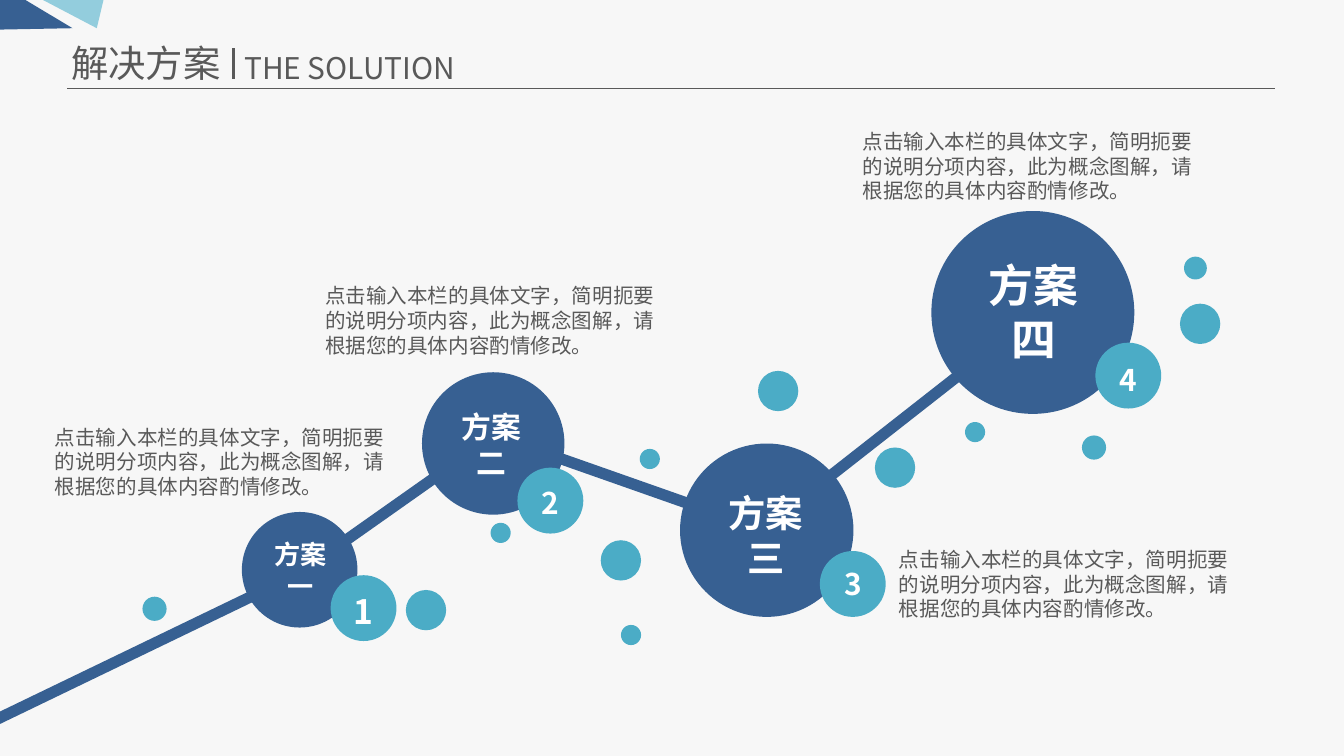
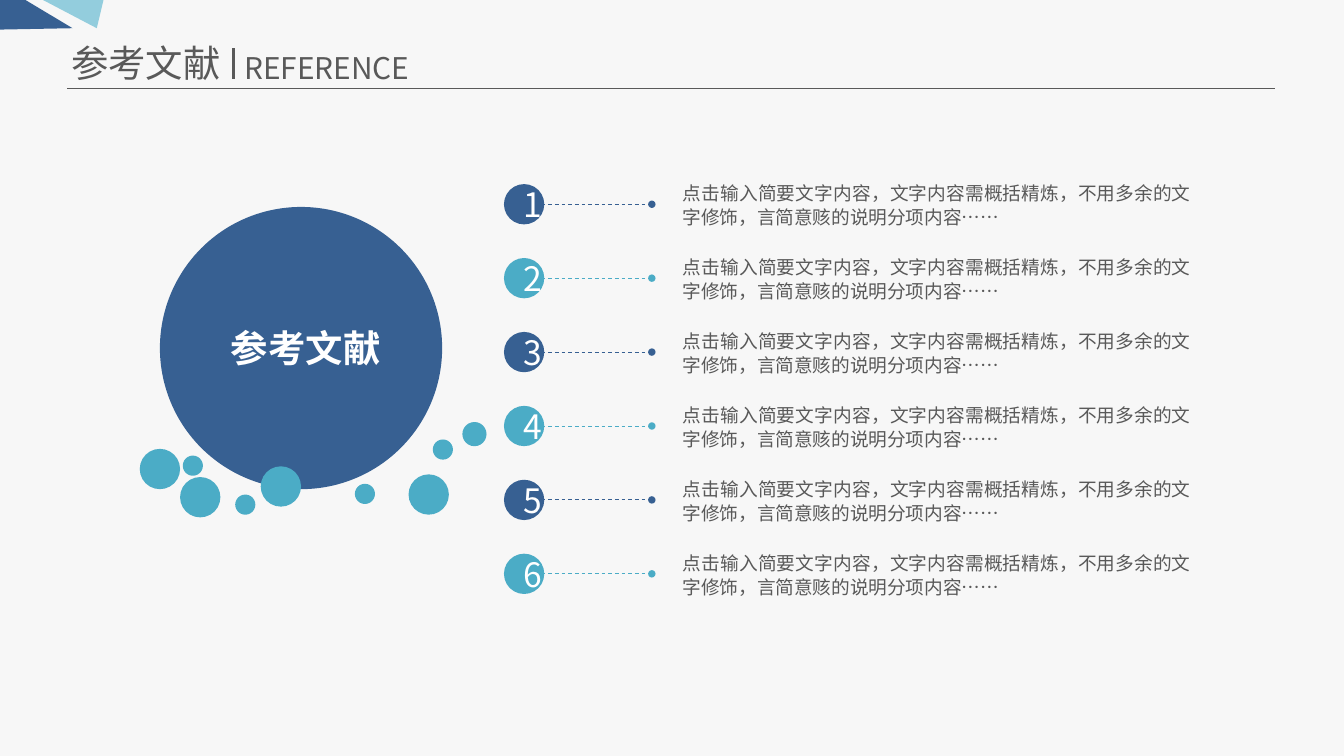
from dataclasses import dataclass

from pptx import Presentation
from pptx import util as u
from pptx.dml.color import RGBColor
from pptx.enum import dml, shapes, text
from pptx.oxml.ns import qn
from lxml import etree

FONT = "Noto Sans CJK SC"
NAVY, TEAL, SKY = "376092", "4BACC6", "93CDDD"
GRAY, WHITE, PAPER = "595959", "FFFFFF", "F7F7F7"
LEFT, CENTER, JUSTIFY = text.PP_ALIGN.LEFT, text.PP_ALIGN.CENTER, text.PP_ALIGN.JUSTIFY
PLAN_TEXT = "点击输入本栏的具体文字，简明扼要的说明分项内容，此为概念图解，请根据您的具体内容酌情修改。"
REFERENCE_TEXT = "点击输入简要文字内容，文字内容需概括精炼，不用多余的文字修饰，言简意赅的说明分项内容……"

Box = tuple[float, float, float, float]
Point = tuple[float, float]


@dataclass
class Plan:
    label: str
    size: int
    circle: Box
    label_box: Box
    note_at: Point


@dataclass
class Badge:
    number: str
    at: Point
    text_top: float
    size: int = 16


@dataclass
class Dot:
    left: float
    top: float
    size: float = 0.15


PLANS = [
    Plan("方案\n一", 14, (1.8, 3.81, 0.86, 0.86), (1.83, 3.96, 0.81, 0.57), (0.31, 3.11)),
    Plan("方案\n二", 16, (3.14, 2.77, 1.06, 1.06), (3.33, 2.99, 0.65, 0.64), (2.32, 2.06)),
    Plan("方案\n三", 20, (5.06, 3.3, 1.29, 1.29), (5.32, 3.6, 0.76, 0.77), (6.59, 4.02)),
    Plan("方案\n四", 24, (6.93, 1.57, 1.51, 1.51), (7.25, 1.87, 0.88, 0.91), (6.32, 0.91)),
]
BADGES = [
    Badge("1", (2.46, 4.28), 4.4, 18),
    Badge("2", (3.85, 3.48), 3.61),
    Badge("3", (6.1, 4.1), 4.21),
    Badge("4", (8.15, 2.55), 2.69),
]
PATH_POINTS = [(-0.04, 5.36), (2.22, 4.27), (3.68, 3.24), (5.67, 3.94), (7.66, 2.38)]
PLAN_DOTS = [
    Dot(4.76, 3.34), Dot(4.47, 4.02, 0.3), Dot(4.62, 4.65), Dot(3.02, 4.39, 0.3),
    Dot(3.65, 3.89), Dot(6.51, 3.33, 0.3), Dot(8.05, 3.24, 0.18), Dot(7.18, 3.14),
    Dot(5.64, 2.76, 0.3), Dot(8.78, 2.26, 0.3), Dot(8.81, 1.91, 0.17), Dot(1.06, 4.44, 0.18),
]
REFERENCE_DOTS = [
    Dot(1.34, 3.55, 0.3), Dot(1.75, 3.68), Dot(1.94, 3.47, 0.3), Dot(2.64, 3.6),
    Dot(1.04, 3.34, 0.3), Dot(1.36, 3.39), Dot(3.04, 3.53, 0.3),
    Dot(3.44, 3.14, 0.18), Dot(3.22, 3.27),
]


def color(value: str) -> RGBColor:
    return RGBColor.from_string(value)


def inches(values) -> list:
    return [u.Inches(v) for v in values]


def paint(sp, fill: str) -> None:
    sp.shadow.inherit = False
    sp.fill.solid()
    sp.fill.fore_color.rgb = color(fill)
    sp.line.fill.background()


def write(tf, content: str, size: int, ink: str = GRAY, bold: bool = False, align=LEFT) -> None:
    tf.text = content
    for p in tf.paragraphs:
        p.alignment = align
        for r in p.runs:
            r.font.name = FONT
            r.font.size = u.Pt(size)
            r.font.bold = bold
            r.font.color.rgb = color(ink)
            etree.SubElement(r.font._element, qn("a:ea"), typeface=FONT)


def add_text(s, box: Box, content: str, size: int, ink: str = GRAY, bold: bool = False,
             align=LEFT, wrap: bool = True, inset: bool = True):
    tf = s.shapes.add_textbox(*inches(box)).text_frame
    tf.word_wrap = wrap
    tf.auto_size = text.MSO_AUTO_SIZE.SHAPE_TO_FIT_TEXT
    if not inset:
        tf.margin_left = tf.margin_top = tf.margin_right = tf.margin_bottom = 0
    write(tf, content, size, ink, bold, align)
    return tf


def add_circle(s, box: Box, fill: str):
    sp = s.shapes.add_shape(shapes.MSO_SHAPE.OVAL, *inches(box))
    paint(sp, fill)
    return sp


def add_dots(s, dots: list[Dot]) -> None:
    for dot in dots:
        add_circle(s, (dot.left, dot.top, dot.size, dot.size), TEAL)


def add_line(s, start: Point, end: Point, ink: str, width: float):
    line = s.shapes.add_connector(shapes.MSO_CONNECTOR.STRAIGHT, *inches(start + end))
    line.line.color.rgb = color(ink)
    line.line.width = u.Pt(width)
    etree.SubElement(line._element.spPr, qn("a:effectLst"))
    return line


def add_leader(s, start: Point, end: Point, ink: str) -> None:
    line = add_line(s, start, end, ink, 0.5)
    line.line.dash_style = dml.MSO_LINE.DASH
    ln = line._element.spPr.find(qn("a:ln"))
    etree.SubElement(ln, qn("a:tailEnd"), type="oval", w="sm", len="sm")


def add_corner(s, points: list[Point], fill: str) -> None:
    start, *rest = [tuple(inches(point)) for point in points]
    builder = s.shapes.build_freeform(*start)
    builder.add_line_segments(rest, close=True)
    paint(builder.convert_to_shape(), fill)


def add_page(prs, title: str, subtitle: str, subtitle_width: float):
    s = prs.slides.add_slide(prs.slide_layouts.get_by_name("Title Only"))
    add_line(s, (0.5, 0.66), (9.49, 0.66), GRAY, 0.75)
    add_corner(s, [(0.32, 0), (0.72, 0.21), (0.77, 0)], SKY)
    add_corner(s, [(0.54, 0.21), (0.19, 0), (0, 0), (0, 0.22)], NAVY)
    sp = s.shapes.title
    sp.left, sp.top, sp.width, sp.height = inches((0.43, 0.25, 1.32, 0.44))
    tf = sp.text_frame
    tf.word_wrap = False
    tf.auto_size = text.MSO_AUTO_SIZE.SHAPE_TO_FIT_TEXT
    tf.vertical_anchor = text.MSO_ANCHOR.TOP
    write(tf, title, 20)
    add_text(s, (1.72, 0.32, subtitle_width, 0.37), subtitle, 16, wrap=False)
    add_line(s, (1.74, 0.36), (1.74, 0.59), GRAY, 1.5)
    return s


def build_solution(prs) -> None:
    s = add_page(prs, "解决方案", "THE SOLUTION", 1.84)
    for start, end in zip(PATH_POINTS, PATH_POINTS[1:]):
        add_line(s, start, end, NAVY, 6)
    for plan in PLANS:
        add_circle(s, plan.circle, NAVY)
        add_text(s, plan.label_box, plan.label, plan.size, WHITE, True, CENTER, wrap=False)
        add_text(s, (*plan.note_at, 2.68, 0.66), PLAN_TEXT, 11)
    for badge in BADGES:
        left, top = badge.at
        add_circle(s, (left, top, 0.49, 0.49), TEAL)
        add_text(s, (left, badge.text_top, 0.49, badge.size / 60), badge.number, badge.size,
                 WHITE, True, CENTER, inset=False)
    add_dots(s, PLAN_DOTS)


def build_reference(prs) -> None:
    s = add_page(prs, "参考文献", "REFERENCE", 1.44)
    add_circle(s, (1.19, 1.54, 2.1, 2.1), NAVY)
    add_dots(s, REFERENCE_DOTS)
    add_text(s, (1.51, 2.42, 1.53, 0.34), "参考文献", 20, WHITE, True, CENTER, inset=False)
    for i in range(6):
        ink = TEAL if i % 2 else NAVY
        middle = 1.52 + 0.55 * i
        tf = add_text(s, (5.08, middle - 0.18, 3.78, 0.36), REFERENCE_TEXT, 10,
                      align=JUSTIFY, inset=False)
        tf.paragraphs[0].line_spacing = u.Pt(13)
        add_leader(s, (3.98, middle), (4.85, middle), ink)
        sp = add_circle(s, (3.75, middle - 0.15, 0.3, 0.3), ink)
        sp.text_frame.vertical_anchor = text.MSO_ANCHOR.MIDDLE
        write(sp.text_frame, str(i + 1), 18, WHITE, align=CENTER)


def main() -> None:
    prs = Presentation()
    prs.slide_width = u.Inches(10)
    prs.slide_height = prs.slide_width * 9 // 16
    fill = prs.slide_master.background.fill
    fill.solid()
    fill.fore_color.rgb = color(PAPER)
    build_solution(prs)
    build_reference(prs)
    prs.save("out.pptx")


if __name__ == "__main__":
    main()
